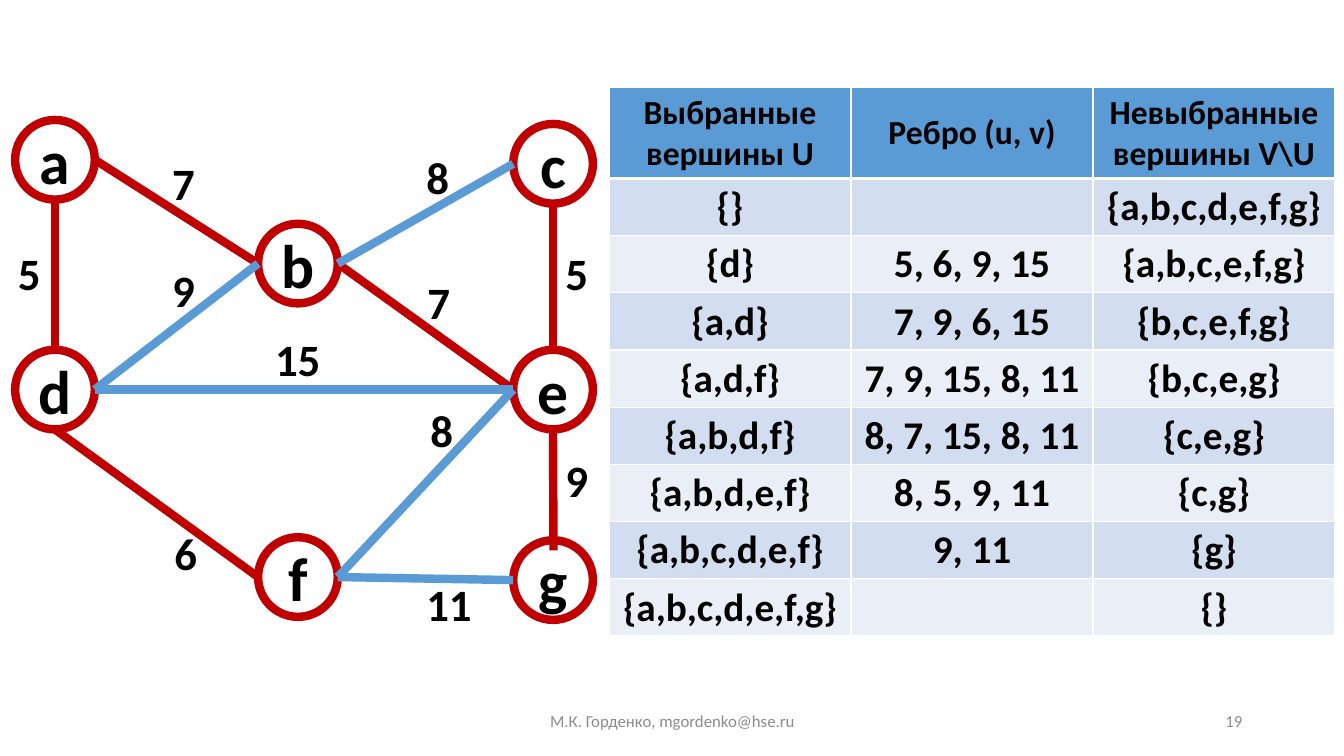
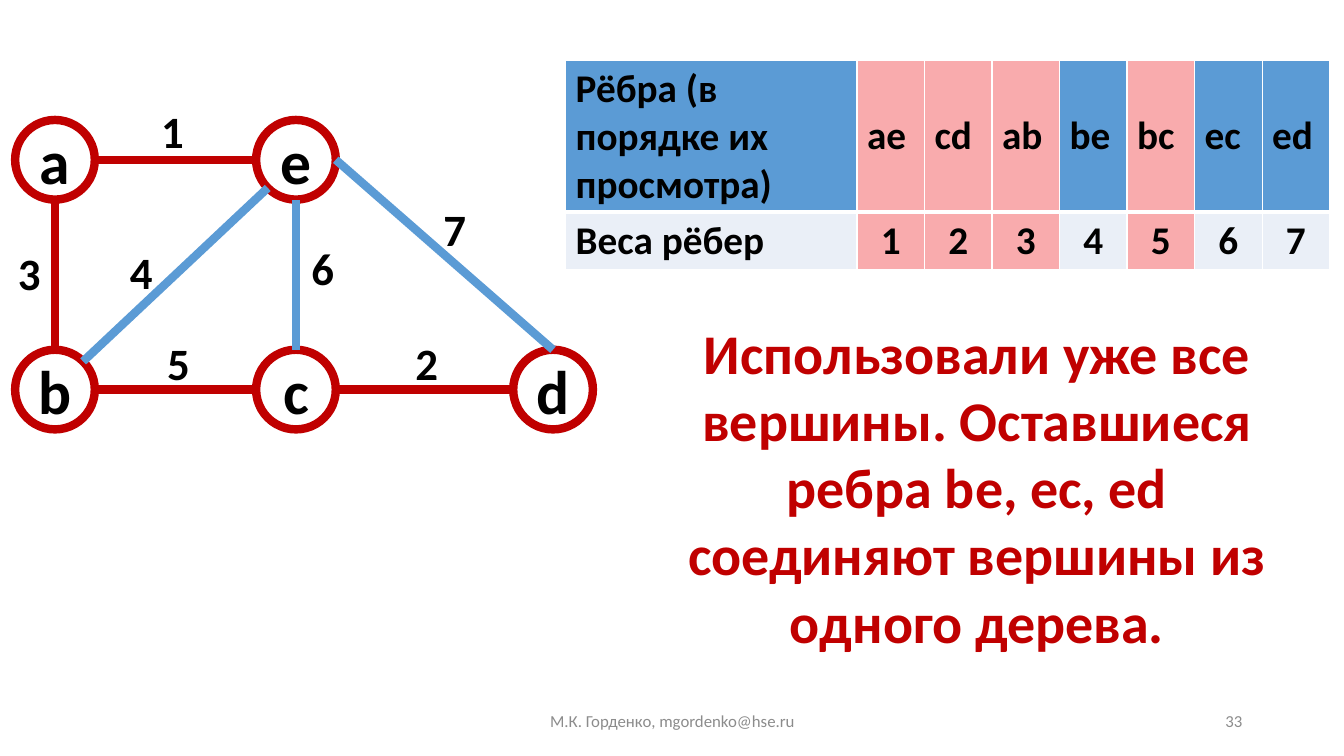
import math

import pptx
import pptx.dml.color
import pptx.enum.shapes
import pptx.enum.text
import pptx.oxml.ns
import pptx.util
from lxml import etree
from pptx.util import Inches

COLORS = {
    "ink": "000000",
    "paper": "FFFFFF",
    "tree": "C00000",
    "other": "5B9BD5",
    "chosen": "F9ABAD",
    "band_dark": "D2DEEF",
    "band_light": "EAEFF7",
    "footer": "8C8C8C",
}
# Connection sites of an ellipse, counter-clockwise from the top
SITES = ["top", "top_left", "left", "bottom_left",
         "bottom", "bottom_right", "right", "top_right"]
ALIGN = pptx.enum.text.PP_ALIGN
ANCHOR = pptx.enum.text.MSO_ANCHOR
qn = pptx.oxml.ns.qn


def rgb(name):
    return pptx.dml.color.RGBColor.from_string(COLORS[name])


class Deck:
    FONT = "Calibri"
    RING = 0.79
    LINE = 6

    def __init__(self):
        self.prs = pptx.Presentation()
        self.prs.slide_width = Inches(13.33)
        self.prs.slide_height = Inches(7.5)
        self.slide = None
        self.rings = {}

    def new_slide(self, number):
        self.slide = self.prs.slides.add_slide(self.prs.slide_layouts[6])
        self.rings = {}
        small = {"size": 12, "bold": False, "color": "footer", "anchor": ANCHOR.MIDDLE}
        self.text("М.К. Горденко, mgordenko@hse.ru", 4.42, 6.95, 4.5, 0.4,
                  align=ALIGN.CENTER, **small)
        self.text(str(number), 9.42, 6.95, 3, 0.4, align=ALIGN.RIGHT, **small)

    def fill_frame(self, frame, words, size, color="ink", bold=True, align=ALIGN.LEFT):
        paragraph = frame.paragraphs[0]
        paragraph.alignment = align
        run = paragraph.add_run()
        run.text = words
        formats = {"name": self.FONT, "size": pptx.util.Pt(size), "bold": bold}
        for key, value in formats.items():
            setattr(run.font, key, value)
        run.font.color.rgb = rgb(color)

    def text(self, words, left, top, width, height, anchor=ANCHOR.TOP, **style):
        box = self.slide.shapes.add_textbox(
            Inches(left), Inches(top), Inches(width), Inches(height))
        frame = box.text_frame
        frame.word_wrap = True
        frame.vertical_anchor = anchor
        self.fill_frame(frame, words, **style)

    def vertex(self, letter, left, top):
        ring = self.slide.shapes.add_shape(
            pptx.enum.shapes.MSO_SHAPE.OVAL,
            Inches(left), Inches(top), Inches(self.RING), Inches(self.RING))
        ring.shadow.inherit = False
        ring.fill.solid()
        ring.fill.fore_color.rgb = rgb("paper")
        ring.line.color.rgb = rgb("tree")
        ring.line.width = pptx.util.Pt(self.LINE)
        frame = ring.text_frame
        formats = {"margin_left": 0, "margin_right": 0, "margin_top": 0,
                   "margin_bottom": 0, "word_wrap": False,
                   "vertical_anchor": ANCHOR.MIDDLE}
        for key, value in formats.items():
            setattr(frame, key, value)
        self.fill_frame(frame, letter, 44, align=ALIGN.CENTER)
        self.rings[letter] = ring

    def locate(self, end):
        """Return the position of a (letter, site) end or of a free (x, y) end."""
        if end[0] not in self.rings:
            return Inches(end[0]), Inches(end[1])
        ring = self.rings[end[0]]
        angle = math.radians(90 + 45 * SITES.index(end[1]))
        radius = ring.width / 2
        return (round(ring.left + radius * (1 + math.cos(angle))),
                round(ring.top + radius * (1 - math.sin(angle))))

    def edge(self, color, start, finish):
        line = self.slide.shapes.add_connector(
            pptx.enum.shapes.MSO_CONNECTOR.STRAIGHT,
            *self.locate(start), *self.locate(finish))
        line.line.color.rgb = rgb(color)
        line.line.width = pptx.util.Pt(self.LINE)
        element = line._element
        etree.SubElement(element.spPr, qn("a:effectLst"))
        joints = element.find(".//" + qn("p:cNvCxnSpPr"))
        for tag, end in (("a:stCxn", start), ("a:endCxn", finish)):
            if end[0] in self.rings:
                etree.SubElement(joints, qn(tag), id=str(self.rings[end[0]].shape_id),
                                 idx=str(SITES.index(end[1])))

    def graph(self, vertices, edges, weights):
        for vertex in vertices:
            self.vertex(*vertex)
        for color, pairs in edges.items():
            for start, finish in pairs:
                self.edge(color, start, finish)
        for weight, left, top in weights:
            self.text(weight, left, top, 0.28 * len(weight) + 0.2, 0.64, size=32)

    def borders(self, cell, row):
        """Draw white cell borders, thicker under the header row."""
        widths = {"L": 1, "R": 1, "T": 3 if row == 1 else 1, "B": 3 if row == 0 else 1}
        properties = cell._tc.get_or_add_tcPr()
        for side, width in widths.items():
            line = etree.SubElement(properties, qn("a:ln" + side),
                                    w=str(pptx.util.Pt(width)))
            fill = etree.SubElement(line, qn("a:solidFill"))
            etree.SubElement(fill, qn("a:srgbClr"), val=COLORS["paper"])

    def table(self, left, top, widths, heights, rows, style):
        """Add a table; style(row, column) gives the fill, text size and alignment."""
        grid = self.slide.shapes.add_table(
            len(rows), len(widths), Inches(left), Inches(top),
            Inches(sum(widths)), Inches(sum(heights))).table
        grid.horz_banding = False
        for column, width in zip(grid.columns, widths):
            column.width = Inches(width)
        for r, (height, words) in enumerate(zip(heights, rows)):
            grid.rows[r].height = Inches(height)
            for c, word in enumerate(words):
                cell = grid.cell(r, c)
                fill, size, align = style(r, c)
                self.borders(cell, r)
                cell.fill.solid()
                cell.fill.fore_color.rgb = rgb(fill)
                cell.vertical_anchor = ANCHOR.MIDDLE
                if word:
                    self.fill_frame(cell.text_frame, word, size, align=align)


def prim_slide(deck):
    deck.new_slide(19)
    deck.graph(
        vertices=[("a", 0.15, 1.19), ("b", 2.56, 2.22), ("c", 5.09, 1.23),
                  ("d", 0.15, 3.47), ("e", 5.09, 3.47), ("f", 2.56, 5.33),
                  ("g", 5.09, 5.36)],
        edges={
            "tree": [(("a", "right"), ("b", "left")),
                     (("b", "right"), ("e", "left")),
                     (("a", "bottom"), ("d", "top")),
                     (("c", "bottom"), ("e", "top")),
                     (("d", "bottom"), ("f", "left")),
                     ((5.49, 5.46), ("e", "bottom"))],
            "other": [(("b", "right"), ("c", "left")),
                      (("d", "right"), ("b", "left")),
                      (("d", "right"), ("e", "left")),
                      (("g", "left"), ("f", "right")),
                      (("e", "left"), ("f", "right"))],
        },
        weights=[("7", 1.61, 1.5), ("7", 4.14, 2.68), ("8", 4.13, 1.44),
                 ("9", 1.61, 2.56), ("5", 0.08, 2.39), ("5", 5.51, 2.39),
                 ("15", 2.63, 3.24), ("6", 1.63, 5.17), ("8", 4.17, 3.95),
                 ("9", 5.51, 4.44), ("11", 4.13, 5.67)])

    steps = [
        ("Выбранные вершины U", "Ребро (u, v)", "Невыбранные вершины V\\U"),
        ("{}", "", "{a,b,c,d,e,f,g}"),
        ("{d}", "5, 6, 9, 15", "{a,b,c,e,f,g}"),
        ("{a,d}", "7, 9, 6, 15", "{b,c,e,f,g}"),
        ("{a,d,f}", "7, 9, 15, 8, 11", "{b,c,e,g}"),
        ("{a,b,d,f}", "8, 7, 15, 8, 11", "{c,e,g}"),
        ("{a,b,d,e,f}", "8, 5, 9, 11", "{c,g}"),
        ("{a,b,c,d,e,f}", "9, 11", "{g}"),
        ("{a,b,c,d,e,f,g}", "", "{}"),
    ]

    def style(row, column):
        if row == 0:
            return "other", 24, ALIGN.CENTER
        return ("band_dark" if row % 2 else "band_light"), 28, ALIGN.CENTER

    header = 0.89
    step_height = (5.43 - header) / (len(steps) - 1)
    deck.table(6.04, 0.87, [2.4] * 3, [header] + [step_height] * (len(steps) - 1),
               steps, style)


def kruskal_slide(deck):
    deck.new_slide(33)
    deck.graph(
        vertices=[("a", 0.15, 1.19), ("e", 2.54, 1.19), ("c", 2.54, 3.47),
                  ("b", 0.15, 3.47), ("d", 5.09, 3.47)],
        edges={
            "tree": [(("b", "right"), ("c", "left")),
                     (("a", "right"), ("e", "left")),
                     (("a", "bottom"), ("b", "top")),
                     (("c", "right"), ("d", "left"))],
            "other": [(("c", "top"), ("e", "bottom")),
                      (("b", "top_right"), ("e", "bottom_left")),
                      (("e", "right"), ("d", "top"))],
        },
        weights=[("5", 1.56, 3.28), ("2", 4.02, 3.28), ("3", 0.08, 2.39),
                 ("4", 1.19, 2.38), ("6", 2.99, 2.34), ("7", 4.3, 1.95),
                 ("1", 1.5, 0.98)])

    names = ["ae", "cd", "ab", "be", "bc", "ec", "ed"]
    chosen = {"ae", "cd", "ab", "bc"}
    rows = [["Рёбра (в порядке их просмотра)"] + names,
            ["Веса рёбер"] + [str(i) for i in range(1, len(names) + 1)]]

    def style(row, column):
        fill = "band_light" if row else "other"
        if rows[0][column] in chosen:
            fill = "chosen"
        return fill, 28, ALIGN.CENTER if row and column else ALIGN.LEFT

    deck.table(5.61, 0.6, [2.89] + [0.67] * len(names), [1.5, 0.57], rows, style)
    deck.text("Использовали уже все вершины. Оставшиеся ребра be, ec, ed "
              "соединяют вершины из одного дерева.",
              6.61, 3.11, 6.16, 3.47, size=40, color="tree", align=ALIGN.CENTER)


def main():
    deck = Deck()
    prim_slide(deck)
    kruskal_slide(deck)
    deck.prs.save("out.pptx")


if __name__ == "__main__":
    main()
